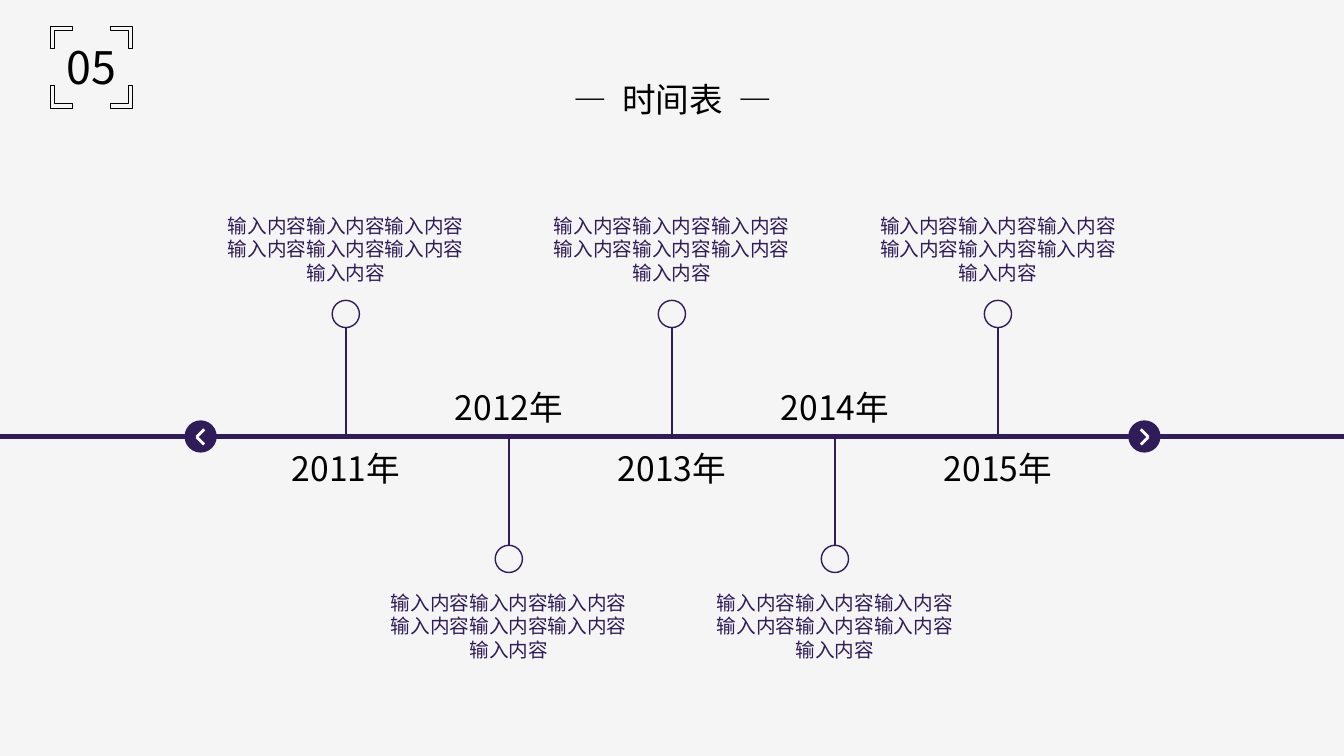
from pptx import Presentation
from pptx.dml.color import RGBColor
from pptx.enum.shapes import MSO_CONNECTOR, MSO_SHAPE
from pptx.enum.text import MSO_AUTO_SIZE, PP_ALIGN
from pptx.oxml.ns import qn
from pptx.util import Inches, Pt
from lxml import etree

LINE = MSO_CONNECTOR.STRAIGHT
OVAL = MSO_SHAPE.OVAL
GROW = MSO_AUTO_SIZE.SHAPE_TO_FIT_TEXT
CENTER = PP_ALIGN.CENTER

# Content
NUMBER = "05"
TITLE = ["—", " ", "时间表", " ", "—"]
BODY = "输入内容输入内容输入内容输入内容输入内容输入内容输入内容"
EVENTS = [
    ("2011年", BODY),
    ("2012年", BODY),
    ("2013年", BODY),
    ("2014年", BODY),
    ("2015年", BODY),
]

FONT = "Noto Sans CJK SC"
COLORS = {"back": "F5F5F5", "main": "301C58", "black": "000000", "white": "FFFFFF"}

# Layout in inches
WIDTH, HEIGHT = 13.33, 7.5
AXIS = 4.33
FIRST, STEP = 3.43, 1.617
STEM, RING = 1.08, 0.27

deck = Presentation()
deck.slide_width, deck.slide_height = Inches(WIDTH), Inches(HEIGHT)
slide = deck.slides.add_slide(deck.slide_layouts[6])
shapes = slide.shapes


def color(name):
    return RGBColor.from_string(COLORS[name])


def add_text(runs, x, y, w, h, size=24, ink="black", gap=0):
    """Centred text; gap widens runs that are a single space, in points."""
    box = shapes.add_textbox(Inches(x), Inches(y), Inches(w), Inches(h))
    frame = box.text_frame
    frame.word_wrap = True
    frame.auto_size = GROW
    para = frame.paragraphs[0]
    para.alignment = CENTER
    for text in runs:
        run = para.add_run()
        run.text = text
        font = run.font
        font.size, font.name = Pt(size), FONT
        font.color.rgb = color(ink)
        props = run._r.get_or_add_rPr()
        etree.SubElement(props, qn("a:ea")).set("typeface", FONT)
        if gap and text == " ":
            props.set("spc", str(round(gap * 100)))


def add_line(x1, y1, x2, y2, ink="main", width=1):
    line = shapes.add_connector(LINE, Inches(x1), Inches(y1), Inches(x2), Inches(y2))
    line.line.color.rgb = color(ink)
    line.line.width = Pt(width)
    etree.SubElement(line._element.spPr, qn("a:effectLst"))


def outline(shape, ink, width):
    shape.shadow.inherit = False
    shape.fill.background()
    shape.line.color.rgb = color(ink)
    shape.line.width = Pt(width)


def add_oval(x, y, size):
    return shapes.add_shape(
        OVAL, Inches(x - size / 2), Inches(y - size / 2), Inches(size), Inches(size))


# Background
slide.background.fill.solid()
slide.background.fill.fore_color.rgb = color("back")

# Number in four corner brackets
MID_X, MID_Y, HALF, ARM, THICK = 0.905, 0.665, 0.405, 0.22, 0.04
IN, EDGE = HALF - ARM, HALF - THICK
CORNER = [(HALF, IN), (EDGE, IN), (EDGE, EDGE), (IN, EDGE), (IN, HALF), (HALF, HALF)]
for sx in (-1, 1):
    for sy in (-1, 1):
        points = [(Inches(MID_X + sx * x), Inches(MID_Y + sy * y)) for x, y in CORNER]
        form = shapes.build_freeform(*points[0])
        form.add_line_segments(points[1:], close=True)
        outline(form.convert_to_shape(), "black", 0.5)
add_text([NUMBER], 0.52, 0.34, 0.77, 0.64, size=32)

# Title
add_text(TITLE, 5.38, 0.73, 2.58, 0.5, gap=5.4)

# Time axis with a round arrow button near each end
add_line(0, AXIS, WIDTH, AXIS, width=3)
for x, way in ((1.99, -1), (11.35, 1)):
    disc = add_oval(x, AXIS, 0.32)
    disc.shadow.inherit = False
    disc.fill.solid()
    disc.fill.fore_color.rgb = color("main")
    disc.line.fill.background()
    for rise in (-0.075, 0.075):
        add_line(x - way * 0.035, AXIS + 0.005 + rise, x + way * 0.04, AXIS + 0.005,
                 ink="white", width=2)

# Events alternate above and below the axis
for i, (year, body) in enumerate(EVENTS):
    x = FIRST + i * STEP
    above = i % 2 == 0
    side = -1 if above else 1
    tip = AXIS + side * STEM
    add_line(x, AXIS, x, tip)
    outline(add_oval(x, tip + side * RING / 2, RING), "main", 1)
    add_text([year], x - 0.96, 4.39 if above else 3.79, 1.92, 0.5)
    add_text([body], x - 1.3, 2.07 if above else 5.81, 2.6, 0.81, size=14, ink="main")

deck.save("out.pptx")
